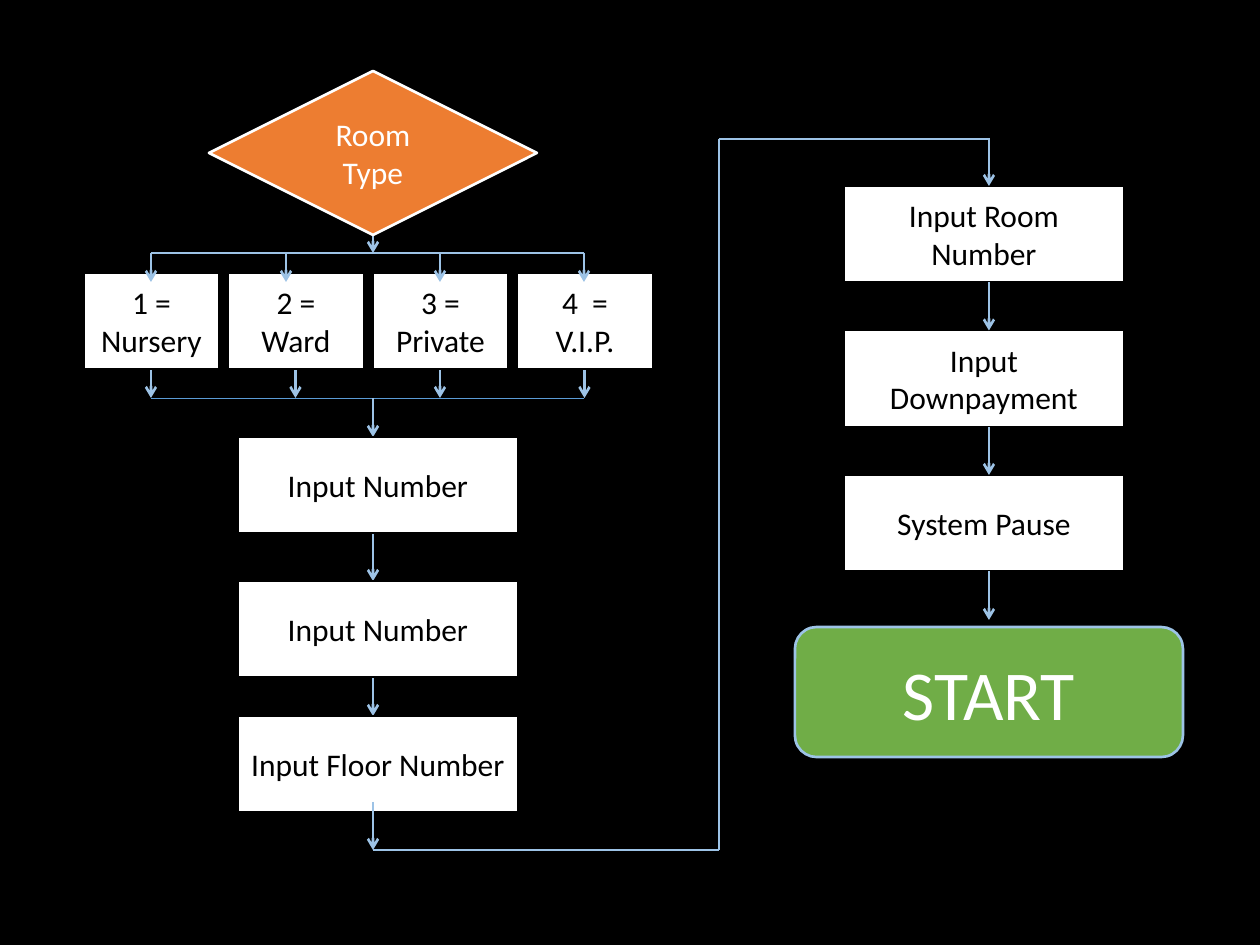
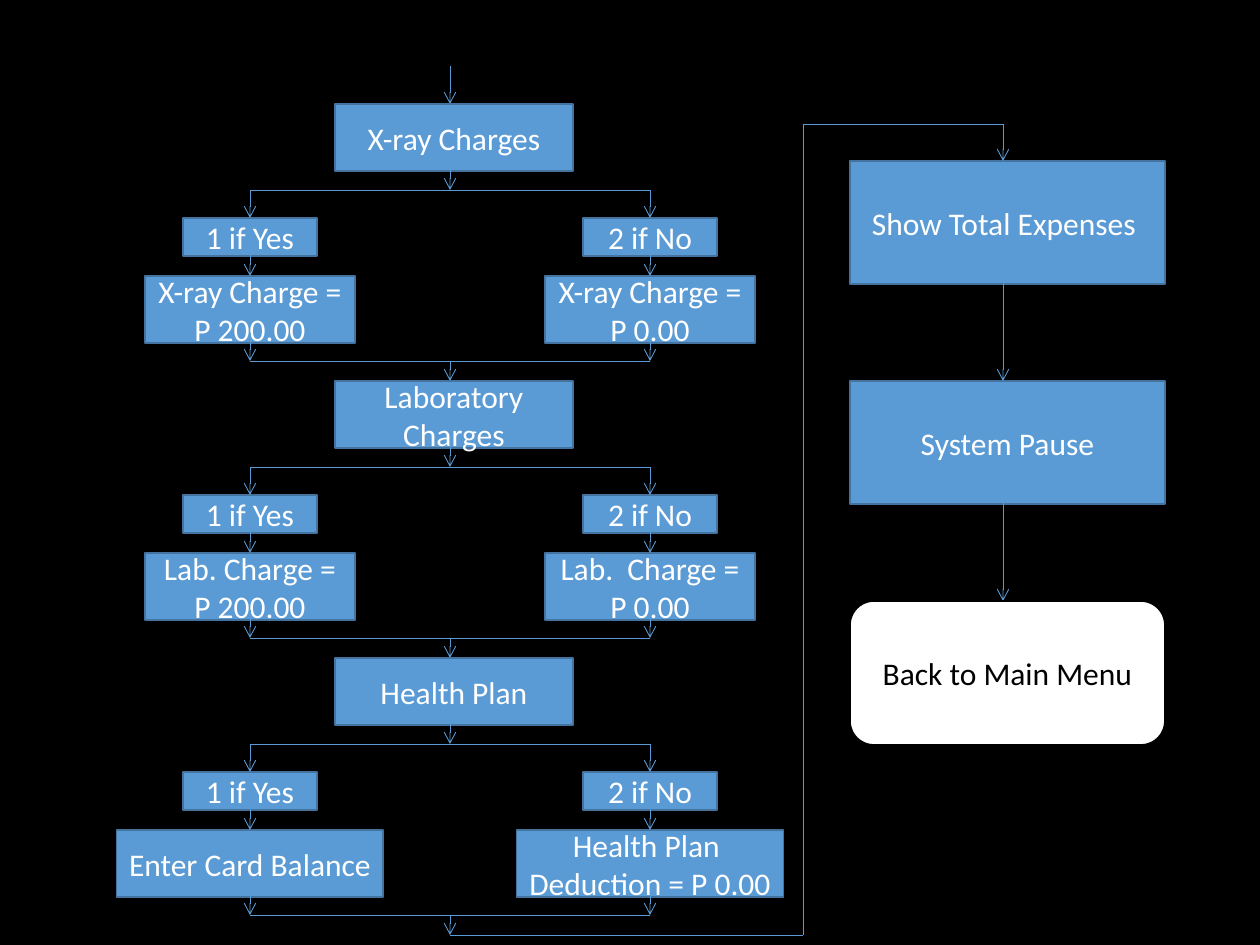
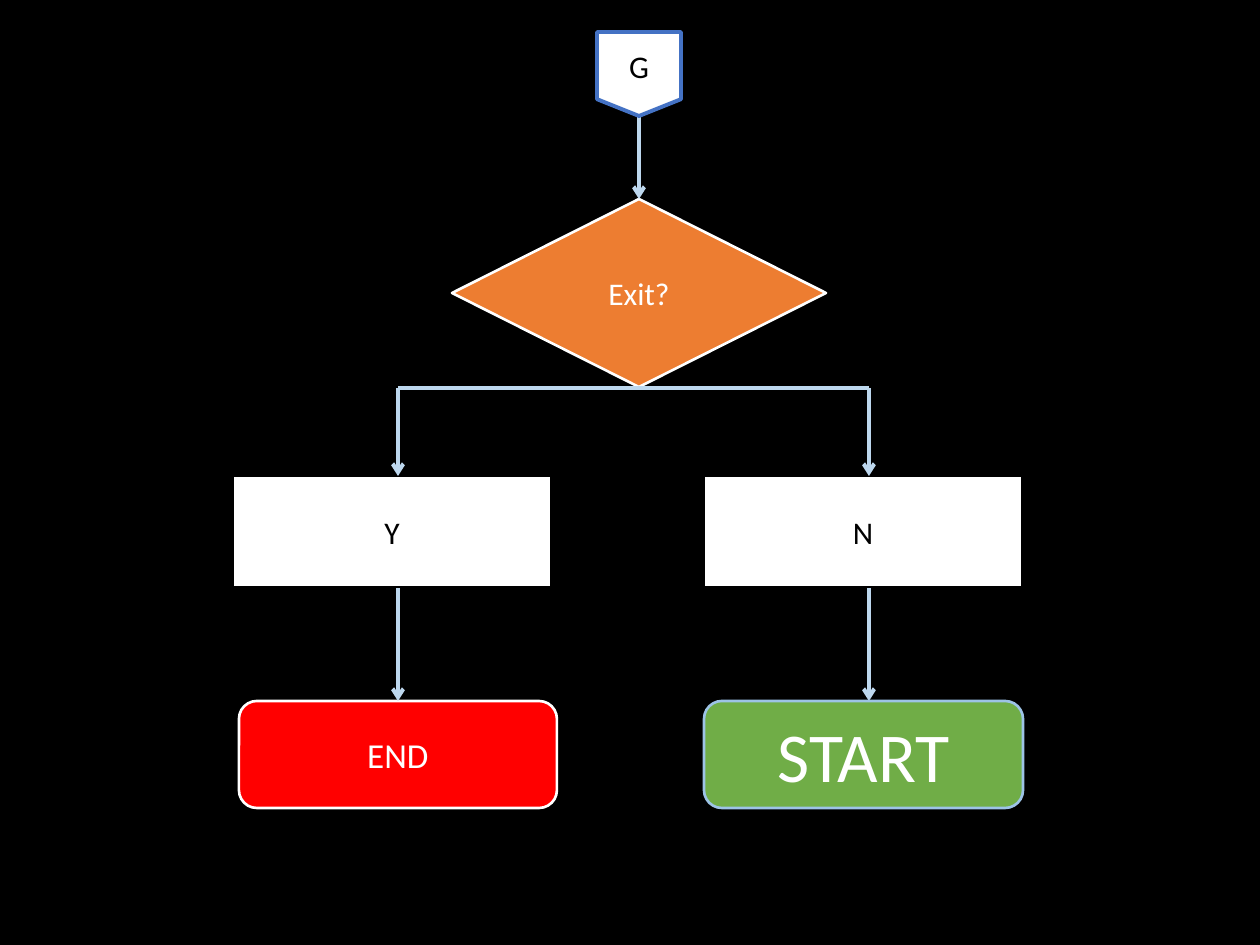
"""Builds three flowchart slides: room booking, patient charges and program exit."""
from dataclasses import dataclass

from pptx import Presentation
from pptx.dml.color import RGBColor
from pptx.enum.shapes import MSO_CONNECTOR, MSO_SHAPE
from pptx.enum.text import MSO_ANCHOR, PP_ALIGN
from pptx.oxml.ns import qn
from pptx.util import Pt
from lxml.etree import SubElement


@dataclass(frozen=True)
class Theme:
    font: str = "Calibri"
    body: int = 18
    end: int = 20
    start: int = 40
    black: str = "000000"
    white: str = "FFFFFF"
    orange: str = "ED7D31"
    green: str = "70AD47"
    red: str = "FF0000"
    blue: str = "5B9BD5"
    edge: str = "43739E"
    royal: str = "4472C4"
    sky: str = "9DC3E6"
    pale: str = "BDD7EE"


T = Theme()
PX = 914400 / 126
STEP = dict(fill=T.white, line=T.black, color=T.black)
CHARGE = dict(fill=T.blue, line=T.edge)
DECISION = dict(kind=MSO_SHAPE.FLOWCHART_DECISION, fill=T.orange, line=T.white, weight=1.5)
START = dict(kind=MSO_SHAPE.ROUNDED_RECTANGLE, fill=T.green, line=T.sky, weight=1.5, size=T.start)
THIN = dict(color=T.blue, weight=0.5)
THICK = dict(color=T.pale, weight=2.25)


def add_box(s, text, x, y, w, h, kind=MSO_SHAPE.RECTANGLE, fill=T.white, line=T.black,
            weight=1, color=T.white, size=T.body):
    sp = s.shapes.add_shape(kind, *(round(v * PX) for v in (x, y, w, h)))
    sp.shadow.inherit = False
    sp.fill.solid()
    sp.fill.fore_color.rgb = RGBColor.from_string(fill)
    sp.line.color.rgb = RGBColor.from_string(line)
    sp.line.width = Pt(weight)
    tf = sp.text_frame
    tf.word_wrap = True
    tf.vertical_anchor = MSO_ANCHOR.MIDDLE
    p = tf.paragraphs[0]
    p.text = text
    p.alignment = PP_ALIGN.CENTER
    for r in p.runs:
        r.font.name = T.font
        r.font.size = Pt(size)
        r.font.color.rgb = RGBColor.from_string(color)
    return sp


def add_line(s, x1, y1, x2, y2, color=T.sky, weight=1.5, arrow=False, to=None):
    c = s.shapes.add_connector(MSO_CONNECTOR.STRAIGHT, *(round(v * PX) for v in (x1, y1, x2, y2)))
    c.line.color.rgb = RGBColor.from_string(color)
    c.line.width = Pt(weight)
    spPr = c._element.spPr
    if arrow:
        SubElement(spPr.find(qn("a:ln")), qn("a:tailEnd"), type="arrow")
    SubElement(spPr, qn("a:effectLst"))
    if to is not None:
        c.end_connect(to, 0)


prs = Presentation()
prs.slide_width = round(1260 * PX)
prs.slide_height = round(945 * PX)
slides = [prs.slides.add_slide(prs.slide_layouts[6]) for _ in range(3)]
for s in slides:
    s.background.fill.solid()
    s.background.fill.fore_color.rgb = RGBColor.from_string(T.black)
rooms, charges, leave = slides

s = rooms
add_line(s, 373, 205, 373, 253, arrow=True)
add_box(s, "Room Type", 209, 71, 328, 164, **DECISION)
add_line(s, 151, 253, 584, 253)
room_types = ["1 = Nursery", "2 = Ward", "3 = Private", "4  = V.I.P."]
for i, (room, entry) in enumerate(zip(room_types, (151, 286, 440, 584))):
    left = 84 + 144.5 * i
    add_line(s, left + 67, 350, left + 67, 398, arrow=True)
    add_box(s, room, left, 273, 135, 96, **STEP)
    add_line(s, entry, 253, entry, 282, arrow=True)
add_line(s, 151, 398, 584, 398, **THIN)
add_line(s, 373, 398, 373, 437, arrow=True)
add_line(s, 373, 533, 373, 581, arrow=True)
add_line(s, 373, 668, 373, 716, arrow=True)
for text, y in (("Input Number", 437), ("Input Number", 581), ("Input Floor Number", 716)):
    add_box(s, text, 238, y, 280, 96, **STEP)
add_line(s, 373, 802, 373, 850, arrow=True)
for ends in ((373, 850, 719, 850), (719, 139, 719, 850), (719, 139, 989, 139)):
    add_line(s, *ends)
for i, text in enumerate(["Input Room Number", "Input Downpayment", "System Pause"]):
    y = 186 + 144.5 * i
    add_box(s, text, 844, y, 280, 96, **STEP)
    add_line(s, 989, y - 48, 989, y, arrow=True)
add_line(s, 989, 571, 989, 620, arrow=True)
add_box(s, "START", 795, 627, 388, 130, **START)

s = charges
add_line(s, 450, 66, 450, 104, arrow=True, **THIN)
stages = [
    ("X-ray Charges", 210, "X-ray Charge = P 200.00", "X-ray Charge = P 0.00"),
    ("Laboratory\vCharges", 210, "Lab. Charge = P 200.00", "Lab.  Charge = P 0.00"),
    ("Health Plan", 267, "Enter Card Balance", "Health Plan \vDeduction = P 0.00"),
]
for i, (stage, w, yes, no) in enumerate(stages):
    y = 104 + 277 * i
    add_box(s, stage, 335, y, 238, 67, **CHARGE)
    add_line(s, 450, y + 57, 450, y + 86, arrow=True, **THIN)
    add_line(s, 250, y + 86, 650, y + 86, **THIN)
    for x, answer, result in ((250, "1 if Yes", yes), (650, "2 if No", no)):
        choice = add_box(s, answer, x - 67, y + 114, 134, 38, **CHARGE)
        amount = add_box(s, result, x - w / 2, y + 172, w, 67, **CHARGE)
        add_line(s, x, y + 86, x, y + 114, arrow=True, to=choice, **THIN)
        add_line(s, x, y + 143, x, y + 172, arrow=True, to=amount, **THIN)
        add_line(s, x, y + 229, x, y + 257, arrow=True, **THIN)
    add_line(s, 250, y + 257, 650, y + 257, **THIN)
    add_line(s, 450, y + 257, 450, y + 277, arrow=True, **THIN)
for ends in ((450, 935, 803, 935), (803, 124, 803, 935), (803, 124, 1003, 124)):
    add_line(s, *ends, **THIN)
add_box(s, "Show Total Expenses ", 850, 161, 315, 123, **CHARGE)
add_box(s, "System Pause", 850, 381, 315, 123, **CHARGE)
for top, bottom in ((124, 161), (276, 381), (495, 601)):
    add_line(s, 1003, top, 1003, bottom, arrow=True, **THIN)
add_box(s, "Back to Main Menu", 850, 601, 315, 144, kind=MSO_SHAPE.ROUNDED_RECTANGLE, **STEP)

s = leave
exit_box = add_box(s, "Exit?", 452, 199, 374, 188, **DECISION)
add_line(s, 639, 78, 639, 199, arrow=True, to=exit_box, **THICK)
add_box(s, "G", 597, 32, 84, 84, kind=MSO_SHAPE.FLOWCHART_OFFPAGE_CONNECTOR,
        fill=T.white, line=T.royal, weight=2.25, color=T.black)
end_box = add_box(s, "END", 239, 701, 318, 107, kind=MSO_SHAPE.ROUNDED_RECTANGLE,
                  fill=T.red, line=T.white, weight=1.5, size=T.end)
add_line(s, 398, 388, 869, 388, **THICK)
for x, left, answer, target in ((398, 233, "Y", end_box), (869, 704, "N", None)):
    add_line(s, x, 578, x, 701, arrow=True, to=target, **THICK)
    add_box(s, answer, left, 476, 318, 111, **STEP)
    add_line(s, x, 388, x, 476, arrow=True, **THICK)
add_box(s, "START", 704, 701, 319, 107, **START)

prs.save("out.pptx")
